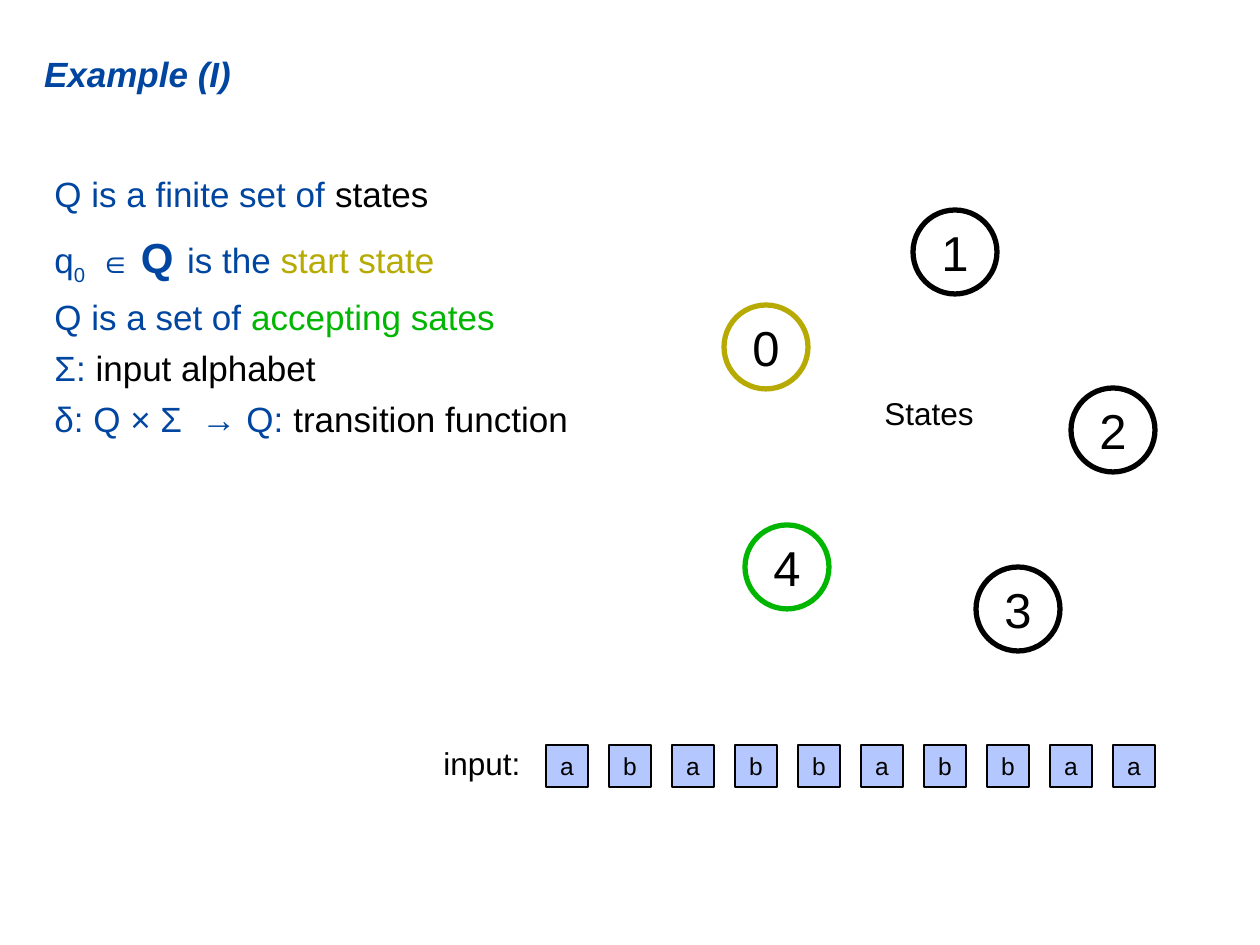
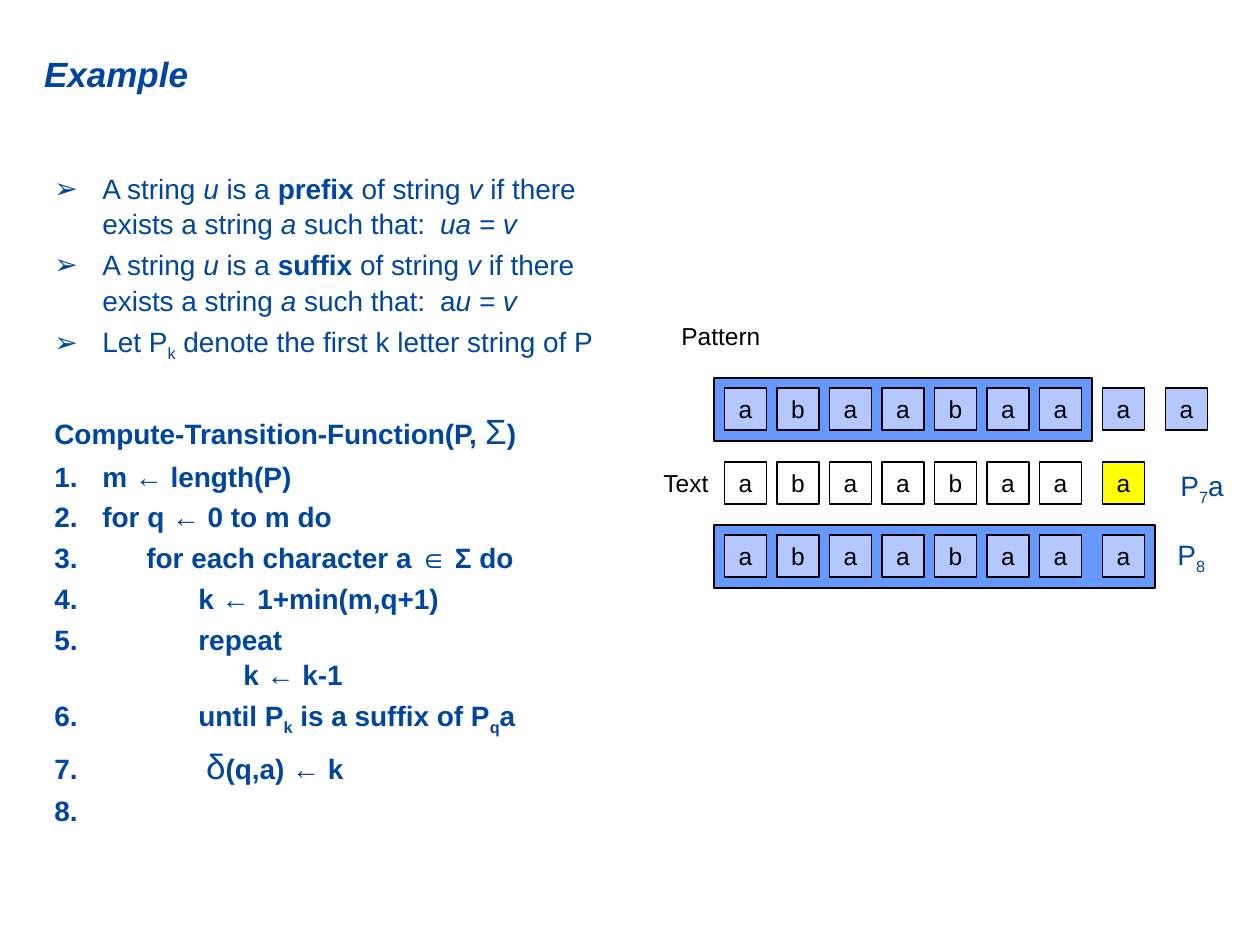
from lxml.etree import SubElement
from pptx import Presentation
from pptx.dml.color import RGBColor
from pptx.enum.shapes import MSO_SHAPE
from pptx.enum.text import MSO_ANCHOR, MSO_AUTO_SIZE, PP_ALIGN
from pptx.oxml.ns import qn
from pptx.util import Emu, Pt

PX = 914400 / 126
FONT = "Arial"
BLUE = RGBColor(0x00, 0x46, 0xA0)
BLACK = RGBColor(0, 0, 0)
WHITE = RGBColor(255, 255, 255)
GOLD = RGBColor(0xB6, 0xAA, 0x03)
GREEN = RGBColor(0x00, 0xB6, 0x00)
PALE = RGBColor(0xB4, 0xC8, 0xFF)
FRAME = RGBColor(0x66, 0x99, 0xFF)
YELLOW = RGBColor(0xFF, 0xFF, 0x01)

CELL = 42
STATE = 84
HANG = 48
TABS = (92, 144)
SUB = {"sub": True}
ITALIC = {"italic": True}
PLAIN = {"bold": False, "size": 20}


def px(count):
    return Emu(round(count * PX))


def place(box):
    return [px(side) for side in box]


def write(par, runs, size=14, color=BLACK, bold=False, italic=False):
    """Fill a paragraph with runs: plain strings or (string, changes) pairs."""
    for run in [runs] if isinstance(runs, str) else runs:
        words, diff = (run, {}) if isinstance(run, str) else run
        for i, line in enumerate(words.split("\n")):
            if i:
                par.add_line_break()
            part = par.add_run()
            part.text = line
            font = part.font
            font.name = FONT
            font.size = Pt(diff.get("size", size))
            font.bold = diff.get("bold", bold)
            font.italic = diff.get("italic", italic)
            font.color.rgb = diff.get("color", color)
            if diff.get("sub"):
                font._element.set("baseline", "-25000")


def text(slide, box, pars, wrap=True, grow=False, anchor=MSO_ANCHOR.TOP,
         inset=None, gap=0, lead=None, **style):
    """Add a text box and return its paragraphs."""
    frame = slide.shapes.add_textbox(*place(box)).text_frame
    frame.word_wrap = wrap
    frame.auto_size = MSO_AUTO_SIZE.SHAPE_TO_FIT_TEXT if grow else MSO_AUTO_SIZE.NONE
    frame.vertical_anchor = anchor
    if inset is not None:
        frame.margin_left = px(inset)
    for i, runs in enumerate(pars):
        par = frame.add_paragraph() if i else frame.paragraphs[0]
        if i:
            par.space_before = Pt(gap)
        if lead:
            par.line_spacing = lead
        write(par, runs, **style)
    return frame.paragraphs


def shape(slide, kind, box, fill=None, line=BLACK, width=0.75, label="", size=14):
    item = slide.shapes.add_shape(kind, *place(box))
    item.shadow.inherit = False
    if fill is None:
        item.fill.background()
    else:
        item.fill.solid()
        item.fill.fore_color.rgb = fill
    item.line.color.rgb = line
    item.line.width = Pt(width)
    if label:
        frame = item.text_frame
        frame.word_wrap = False
        frame.vertical_anchor = MSO_ANCHOR.MIDDLE
        frame.paragraphs[0].alignment = PP_ALIGN.CENTER
        write(frame.paragraphs[0], label, size=size)


def listed(par, mark=None):
    """Give a paragraph its hanging indent, bullet or number, and tab stops."""
    props = par._p.get_or_add_pPr()
    if mark:
        props.set("marL", str(px(HANG)))
        props.set("indent", str(-px(HANG)))
    if mark == "number":
        SubElement(props, qn("a:buFont"), typeface="+mj-lt")
        SubElement(props, qn("a:buAutoNum"), type="arabicPeriod")
    elif mark:
        SubElement(props, qn("a:buFont"), typeface=FONT)
        SubElement(props, qn("a:buChar"), char=mark)
    stops = SubElement(props, qn("a:tabLst"))
    for stop in TABS:
        SubElement(stops, qn("a:tab"), pos=str(px(stop)), algn="l")


def start(deck, title):
    slide = deck.slides.add_slide(deck.slide_layouts[6])
    text(slide, (0, 0, 863, 147), [title], anchor=MSO_ANCHOR.MIDDLE, inset=44,
         size=20, color=BLUE, bold=True, italic=True)
    return slide


def cells(slide, left, top, word, pitch, fill=PALE):
    for i, char in enumerate(word):
        shape(slide, MSO_SHAPE.RECTANGLE, (left + i * pitch, top, CELL, CELL),
              fill, label=char)


def terms(slide, box):
    black = {"color": BLACK}
    pars = [
        ["Q is a finite set of ", ("states", black)],
        ["q", ("0 ", SUB), (" ∈", {"size": 18}), " ",
         ("Q", {"size": 24, "bold": True}), (" ", {"size": 28}),
         "is the ", ("start state", {"color": GOLD})],
        ["Q is a set of ", ("accepting sates", {"color": GREEN})],
        ["Σ: ", ("input alphabet", black)],
        ["δ: Q × Σ  → Q: ", ("transition function", black)],
    ]
    text(slide, box, pars, gap=4, lead=1.05, size=20, color=BLUE)


def states(slide, left, top):
    spots = [(0, 95, GOLD), (189, 0, BLACK), (347, 178, BLACK),
             (252, 357, BLACK), (21, 315, GREEN)]
    for i, (x, y, color) in enumerate(spots):
        shape(slide, MSO_SHAPE.OVAL, (left + x, top + y, STATE, STATE),
              line=color, width=3, label=str(i), size=28)
    text(slide, (left + 148, top + 178, 115, 50), ["States"],
         wrap=False, grow=True, size=18)


def tape(slide, left, top):
    text(slide, (left, top, 102, 50), ["input:"], wrap=False, grow=True, size=18)
    cells(slide, left + 115, top + 7, "ababbabbaa", 63)


def affix(name, proof):
    return ["A string ", ("u", ITALIC), " is a ", (name, {"bold": True}),
            " of string ", ("v", ITALIC), " if there exists a string ",
            ("a", ITALIC), " such that:\t", *proof]


def method(slide, box):
    bold = {"bold": True}
    facts = [
        affix("prefix", [" ", ("ua = v", ITALIC)]),
        affix("suffix", [" a", ("u = v", ITALIC)]),
        ["Let P", ("k", SUB), " denote the first k letter string of P"],
    ]
    head = [("Compute-Transition-Function(P, ", bold), ("Σ", {"size": 20}), (")", bold)]
    low = {**SUB, **bold}
    steps = [
        [("m ← length(P)", bold)],
        [("for q ← 0 to m do", bold)],
        [("\tfor each character a ∈ Σ do", bold)],
        [("\t\tk ← 1+min(m,q+1)", bold)],
        [("\t\trepeat\n\t\t\tk ← k-1", bold)],
        [("\t\tuntil P", bold), ("k", low), (" is a suffix of P", bold),
         ("q", low), ("a", bold)],
        [("\t\t ", bold), ("δ", PLAIN), ("(q,a) ← k", bold)],
        [("\t", bold)],
    ]
    pars = text(slide, box, facts + [head] + steps, gap=3.2, lead=1.05,
                size=16, color=BLUE)
    pars[len(facts)].space_before = Pt(26)
    marks = ["➢"] * len(facts) + [None] + ["number"] * len(steps)
    for par, mark in zip(pars, marks):
        listed(par, mark)


def match(slide, left, top):
    """Align the pattern, the text and the longer prefix in three rows."""
    word, pitch, far = "abaabaa", 52.5, 388.5
    rows = [top + 10, top + 84, top + 157]
    for drop, wide in ((0, 378), (147, 441)):
        shape(slide, MSO_SHAPE.RECTANGLE, (left, top + drop, wide, 63), FRAME)
    for row, fill, rest, last in zip(rows, (PALE, WHITE, PALE), ("aa", "a", "a"),
                                     (PALE, YELLOW, PALE)):
        cells(slide, left + 10.5, row, word, pitch, fill)
        cells(slide, left + far, row, rest, 63, last)
    text(slide, (left - 45, top - 63, 112, 42), ["Pattern"], grow=True)
    text(slide, (left - 63, rows[1], 112, 42), ["Text"], grow=True)
    for x, y, runs, wide in ((454, 84, ["P", ("7", SUB), "a"], 71),
                             (451, 153, ["P", ("8", SUB)], 54)):
        text(slide, (left + x, top + y, wide, 46), [runs], wrap=False,
             grow=True, size=16, color=BLUE)


def main():
    deck = Presentation()
    deck.slide_width, deck.slide_height = px(1260), px(945)
    first = start(deck, "Example (I)")
    terms(first, (42, 164, 582, 340))
    states(first, 724, 210)
    tape(first, 431, 738)
    second = start(deck, "Example")
    method(second, (42, 164, 582, 733))
    match(second, 714, 378)
    deck.save("out.pptx")


if __name__ == "__main__":
    main()
